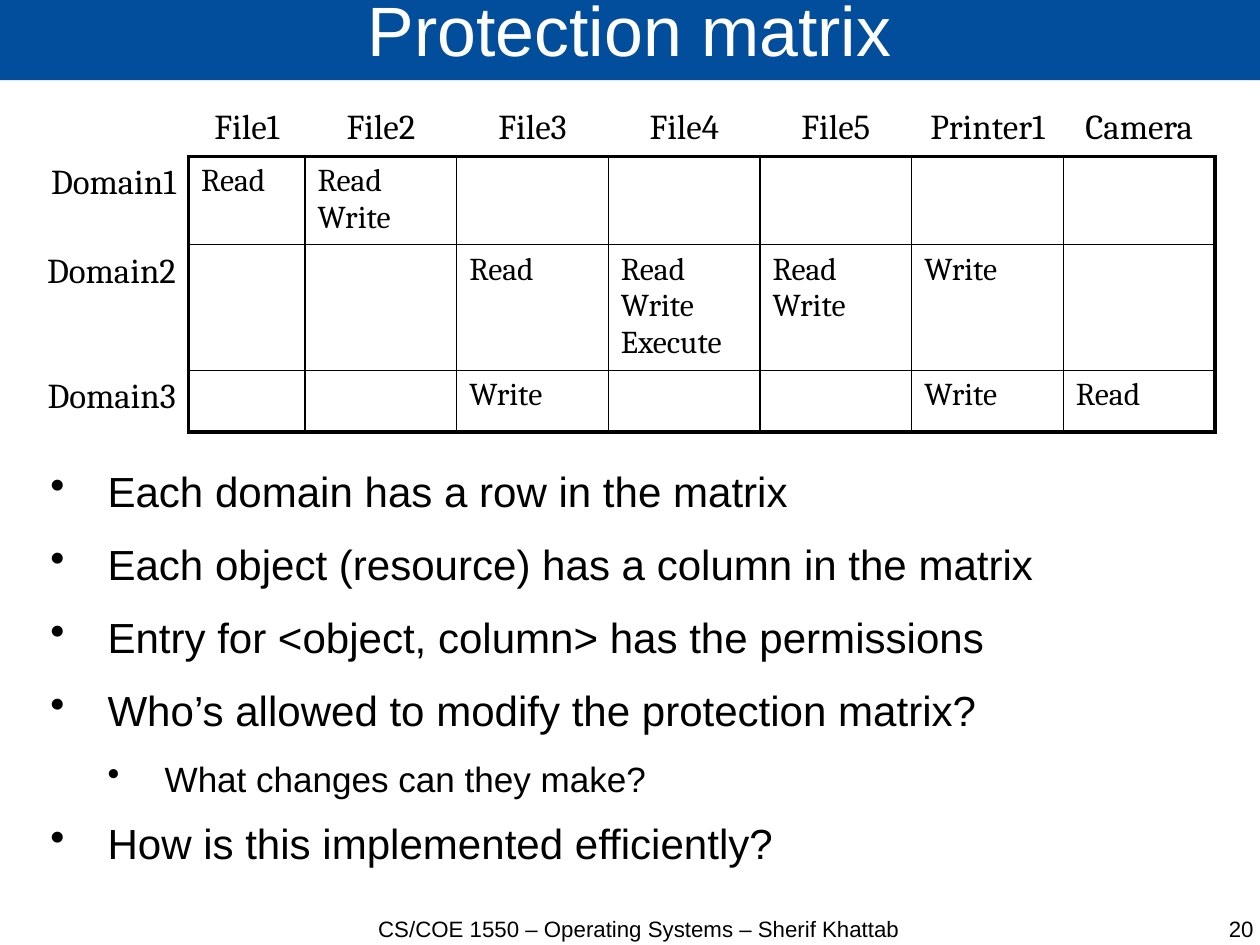
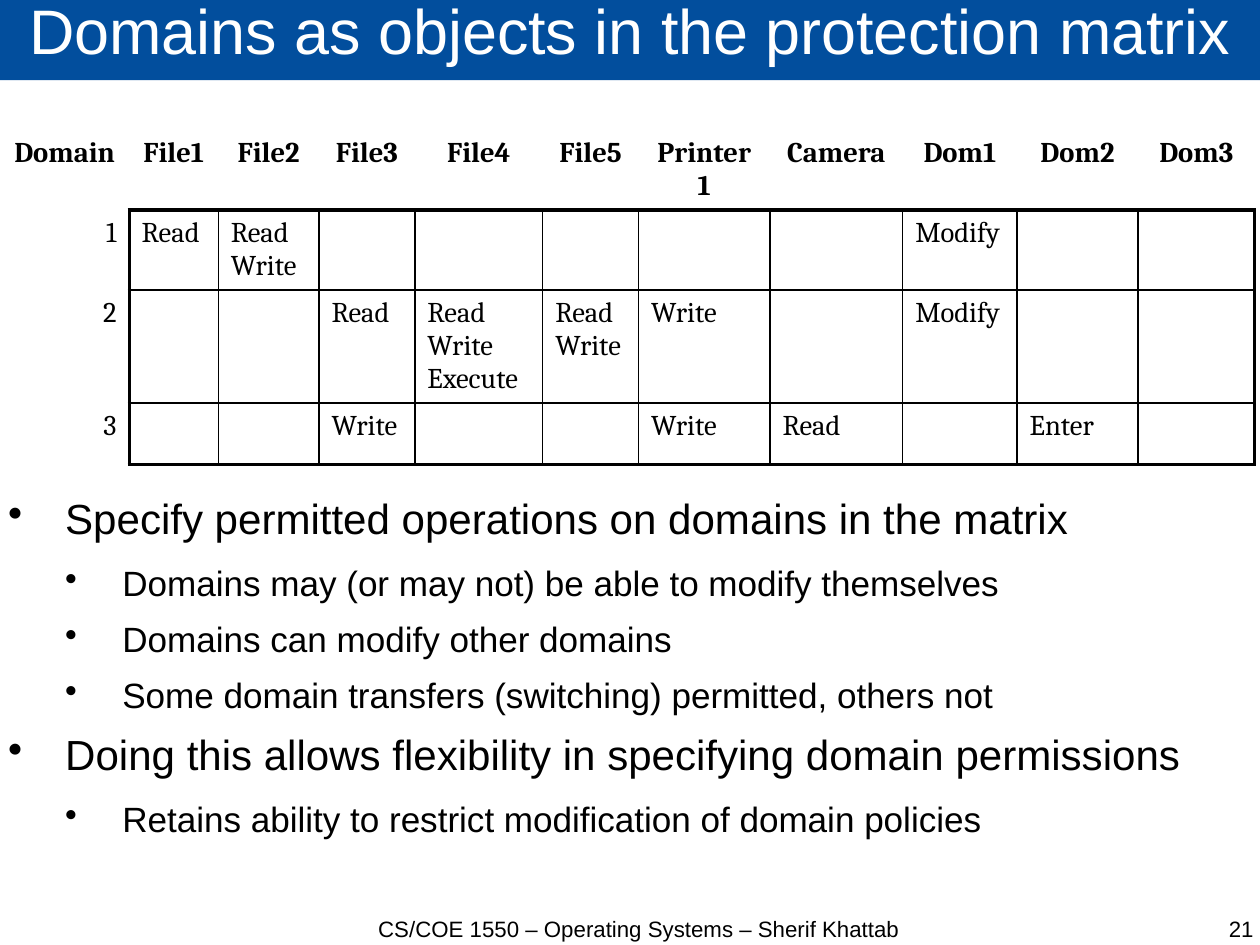
from lxml import etree
from pptx import Presentation
from pptx.dml.color import RGBColor
from pptx.enum.text import MSO_ANCHOR, MSO_AUTO_SIZE, PP_ALIGN
from pptx.oxml.ns import qn
from pptx.util import Cm, Pt

LEFT, MID, RIGHT = PP_ALIGN.LEFT, PP_ALIGN.CENTER, PP_ALIGN.RIGHT
CENTER, TOP = MSO_ANCHOR.MIDDLE, MSO_ANCHOR.TOP
FIXED = MSO_AUTO_SIZE.NONE
BLUE, WHITE, BLACK = "024E9D", "FFFFFF", "000000"
SANS, SERIF = "Arial", "Cambria"
THICK, THIN = 2.25, 1
WIDE, HIGH = 28, 21
R, W, RW, RWX = "Read", "Write", "Read\vWrite", "Read\vWrite\vExecute"
FOOT = "CS/COE 1550 – Operating Systems – Sherif Khattab"


def color(code):
    return RGBColor.from_string(code)


def style(para, size, name, code, align, bold=False):
    para.alignment = align
    for run in para.runs:
        font = run.font
        font.size, font.name, font.bold = Pt(size), name, bold
        font.color.rgb = color(code)


pages = [
    {
        "title": "Protection matrix", "size": 44, "number": "20",
        "place": (0.05, 2.26), "head": 22, "entry": 20, "bold": False,
        "cols": [4.14, 2.59] + [3.37] * 6,
        "rows": [1.22, 1.96, 2.79, 1.37],
        "cells": [
            ["", "File1", "File2", "File3", "File4", "File5", "Printer1", "Camera"],
            ["Domain1", R, RW, "", "", "", "", ""],
            ["Domain2", "", "", R, RWX, RW, W, ""],
            ["Domain3", "", "", W, "", "", W, R],
        ],
        "body": (1.12, 10.34), "space": 1.0,
        "points": [
            (0, "Each domain has a row in the matrix"),
            (0, "Each object (resource) has a column in the matrix"),
            (0, "Entry for <object, column> has the permissions"),
            (0, "Who’s allowed to modify the protection matrix?"),
            (1, "What changes can they make?"),
            (0, "How is this implemented efficiently?"),
        ],
    },
    {
        "title": "Domains as objects in the protection matrix", "size": 39.6,
        "number": "21",
        "place": (0, 2.9), "head": 18, "entry": 18, "bold": True,
        "cols": [2.87, 1.98, 2.24, 2.13, 2.84, 2.13, 2.92, 2.95, 2.54, 2.69, 2.59],
        "rows": [1.02, 1.78, 2.51, 1.37],
        "cells": [
            ["Domain", "File1", "File2", "File3", "File4", "File5", "Printer1",
             "Camera", "Dom1", "Dom2", "Dom3"],
            ["1", R, RW, "", "", "", "", "", "Modify", "", ""],
            ["2", "", "", R, RWX, RW, W, "", "Modify", "", ""],
            ["3", "", "", W, "", "", W, R, "", "Enter", ""],
        ],
        "body": (0.18, 11.07), "space": 0.9,
        "points": [
            (0, "Specify permitted operations on domains in the matrix"),
            (1, "Domains may (or may not) be able to modify themselves"),
            (1, "Domains can modify other domains"),
            (1, "Some domain transfers (switching) permitted, others not"),
            (0, "Doing this allows flexibility in specifying domain permissions"),
            (1, "Retains ability to restrict modification of domain policies"),
        ],
    },
]

deck = Presentation()
deck.slide_width, deck.slide_height = Cm(WIDE), Cm(HIGH)

for page in pages:
    slide = deck.slides.add_slide(deck.slide_layouts[5])
    title = slide.shapes.title
    title.left, title.top = Cm(0), Cm(-0.05)
    title.width, title.height = Cm(WIDE), Cm(1.83)
    title.fill.solid()
    title.fill.fore_color.rgb = color(BLUE)

    left, top = page["body"]
    body = slide.shapes.add_textbox(Cm(left), Cm(top), Cm(WIDE - left), Cm(9))
    foot = slide.shapes.add_textbox(Cm(7.8), Cm(20.35), Cm(12.8), Cm(0.6))
    number = slide.shapes.add_textbox(Cm(21.44), Cm(20.35), Cm(6.42), Cm(0.6))
    for shape, anchor in ((title, CENTER), (body, TOP), (foot, TOP), (number, TOP)):
        frame = shape.text_frame
        frame.margin_left = frame.margin_right = 0
        frame.margin_top = frame.margin_bottom = 0
        frame.word_wrap, frame.auto_size = True, FIXED
        frame.vertical_anchor = anchor

    for shape, text, size, code, align in (
        (title, page["title"], page["size"], WHITE, MID),
        (foot, FOOT, 14, BLACK, MID),
        (number, page["number"], 14, BLACK, RIGHT),
    ):
        shape.text_frame.text = text
        style(shape.text_frame.paragraphs[0], size, SANS, code, align)
    title.text_frame.paragraphs[0].line_spacing = 0.69

    body.text_frame.text = "\n".join(text for level, text in page["points"])
    for para, (level, text) in zip(body.text_frame.paragraphs, page["points"]):
        para.level = level
        para.line_spacing = page["space"]
        para.space_after = Pt((14.2, 11.4)[level])
        style(para, (26.5, 22.1)[level], SANS, BLACK, LEFT)
        props = para._p.get_or_add_pPr()
        props.set("marL", str(Cm(1.27 * (level + 1))))
        props.set("indent", str(Cm(-1.27)))
        tint = etree.SubElement(props, qn("a:buClr"))
        etree.SubElement(tint, qn("a:srgbClr"), val=BLACK)
        etree.SubElement(props, qn("a:buChar"), char="•")

    cols, rows = page["cols"], page["rows"]
    left, top = page["place"]
    table = slide.shapes.add_table(
        len(rows), len(cols), Cm(left), Cm(top), Cm(sum(cols)), Cm(sum(rows))
    ).table
    table.first_row = table.horz_banding = False
    for col, width in zip(table.columns, cols):
        col.width = Cm(width)
    for row, height in zip(table.rows, rows):
        row.height = Cm(height)

    for r, line in enumerate(page["cells"]):
        for c, text in enumerate(line):
            cell = table.cell(r, c)
            cell.margin_left = cell.margin_right = Cm(0.28)
            cell.margin_top = cell.margin_bottom = Cm(0.15)
            cell.text_frame.text = text
            align = MID if r == 0 else RIGHT if c == 0 else LEFT
            size = page["head"] if r == 0 or c == 0 else page["entry"]
            bold = page["bold"] and r == 0
            style(cell.text_frame.paragraphs[0], size, SERIF, BLACK, align, bold)
            props = cell._tc.get_or_add_tcPr()
            for tag, edge, last, inner in (
                ("a:lnL", c, len(cols), r),
                ("a:lnR", c + 1, len(cols), r),
                ("a:lnT", r, len(rows), c),
                ("a:lnB", r + 1, len(rows), c),
            ):
                border = etree.SubElement(props, qn(tag))
                if edge and inner:
                    weight = THICK if edge in (1, last) else THIN
                    border.set("w", str(Pt(weight)))
                    fill = etree.SubElement(border, qn("a:solidFill"))
                    etree.SubElement(fill, qn("a:srgbClr"), val=BLACK)
                else:
                    etree.SubElement(border, qn("a:noFill"))
            cell.fill.background()

deck.save("out.pptx")
